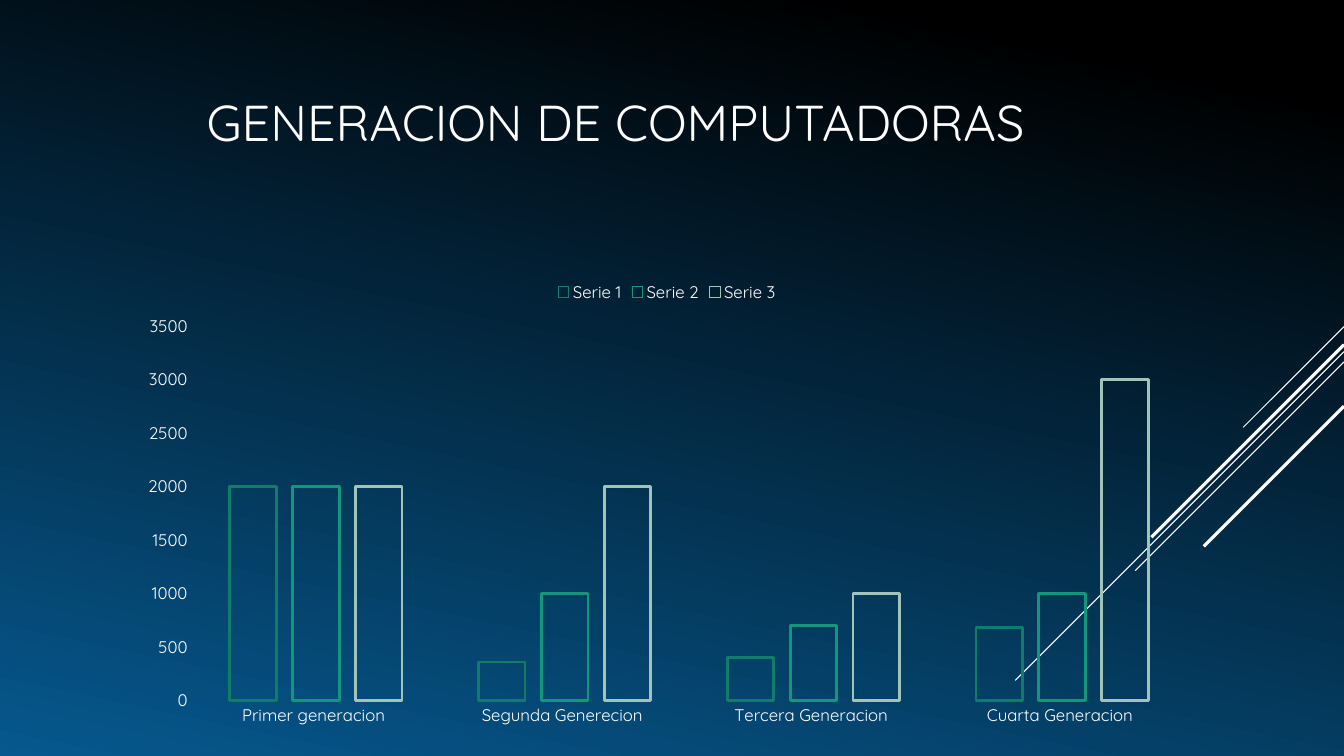
from dataclasses import dataclass

from lxml import etree
from pptx import Presentation, util as u
from pptx.chart.data import CategoryChartData
from pptx.dml.color import RGBColor
from pptx.enum import chart as c, shapes, text
from pptx.oxml.ns import qn

TITLE = "GENERACION DE COMPUTADORAS"
CATEGORIES = [
    "Primer generacion ",
    "Segunda Generecion ",
    "Tercera Generacion ",
    "Cuarta Generacion ",
]
SERIES = {
    "Serie 1": (2000, 360, 400, 680),
    "Serie 2": (2000, 1000, 700, 1000),
    "Serie 3": (2000, 2000, 1000, 3000),
}

WIDTH, HEIGHT = 13.33, 7.5
TITLE_SHARES = (14.63, 5.07, 70, 22)
CHART_SHARES = (9.4, 35.73, 80.5, 61.47)
RAYS = [
    (43.2, 7.5, "thin"),
    (46.53, 24.46, "thin"),
    (47.87, 15.53, "thin"),
    (45.6, 14.33, "thick"),
    (53.73, 10.43, "thick"),
]


@dataclass(frozen=True)
class Theme:
    font: str = "Quicksand"
    ink: str = "FFFFFF"
    title_size: float = 36
    label_size: float = 12
    gradient: tuple = ((0.1, "000000"), (1, "06588E"))
    gradient_angle: float = 258
    bars: tuple = ("117C67", "14967C", "A2C3B8")
    bar_outline: float = 2
    thin: float = 0.75
    thick: float = 2.25


THEME = Theme()


def across(share):
    return u.Inches(WIDTH * share / 100)


def down(share):
    return u.Inches(HEIGHT * share / 100)


def frame(shares):
    left, top, width, height = shares
    return across(left), down(top), across(width), down(height)


def style_font(font, size):
    font.name = THEME.font
    font.size = u.Pt(size)
    font.bold = False
    font.color.rgb = RGBColor.from_string(THEME.ink)


def write(box, words, size, align, anchor):
    box.text_frame.word_wrap = True
    box.text_frame.vertical_anchor = anchor
    para = box.text_frame.paragraphs[0]
    para.alignment = align
    span = para.add_run()
    span.text = words
    style_font(span.font, size)


def paint_background(page):
    fill = page.background.fill
    fill.gradient()
    fill.gradient_angle = THEME.gradient_angle
    for stop, (position, color) in zip(fill.gradient_stops, THEME.gradient):
        stop.position = position
        stop.color.rgb = RGBColor.from_string(color)


def draw_ray(page, top, run, weight):
    right, start, length = across(100), down(top), across(run)
    ray = page.shapes.add_connector(
        shapes.MSO_CONNECTOR.STRAIGHT, right, start, right - length, start + length
    )
    ray.line.color.rgb = RGBColor.from_string(THEME.ink)
    ray.line.width = u.Pt(getattr(THEME, weight))
    etree.SubElement(ray._element.spPr, qn("a:effectLst"))


def add_title(page):
    box = page.shapes.title
    box.left, box.top, box.width, box.height = frame(TITLE_SHARES)
    write(box, TITLE, size=THEME.title_size, align=text.PP_ALIGN.LEFT,
          anchor=text.MSO_ANCHOR.MIDDLE)
    page.shapes._spTree.append(box._element)


def add_generations_chart(page):
    data = CategoryChartData(number_format="General")
    data.categories = CATEGORIES
    for name, values in SERIES.items():
        data.add_series(name, values)
    chart = page.shapes.add_chart(
        c.XL_CHART_TYPE.COLUMN_CLUSTERED, *frame(CHART_SHARES), data
    ).chart
    style_font(chart.font, THEME.label_size)
    chart.has_title = False
    chart.has_legend = True
    chart.legend.position = c.XL_LEGEND_POSITION.TOP
    chart.legend.include_in_layout = False
    style_font(chart.legend.font, THEME.label_size)

    for axis in (chart.category_axis, chart.value_axis):
        axis.has_major_gridlines = False
        axis.major_tick_mark = axis.minor_tick_mark = c.XL_TICK_MARK.NONE
        axis.format.line.fill.background()
        style_font(axis.tick_labels.font, THEME.label_size)
    chart.value_axis.minimum_scale = 0
    chart.value_axis.maximum_scale = 3500
    chart.value_axis.major_unit = 500

    plot = chart.plots[0]
    plot.vary_by_categories = False
    plot.gap_width = 164
    plot.overlap = -35
    for series, color in zip(plot.series, THEME.bars):
        series.invert_if_negative = False
        series.format.fill.background()
        series.format.line.color.rgb = RGBColor.from_string(color)
        series.format.line.width = u.Pt(THEME.bar_outline)


def main():
    deck = Presentation()
    deck.slide_width, deck.slide_height = across(100), down(100)
    page = deck.slides.add_slide(deck.slide_layouts.get_by_name("Title Only"))
    paint_background(page)
    for ray in RAYS:
        draw_ray(page, *ray)
    add_title(page)
    add_generations_chart(page)
    deck.save("out.pptx")


if __name__ == "__main__":
    main()
